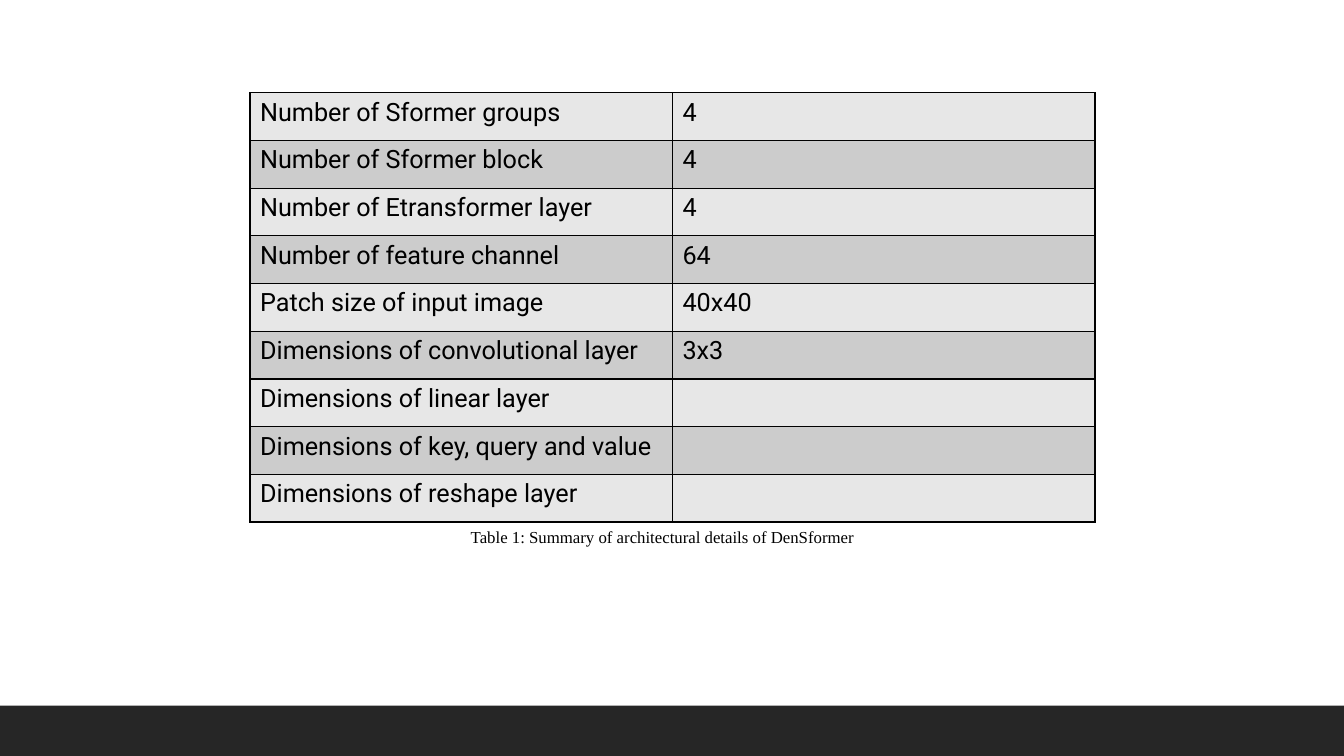
from lxml import etree
from pptx import Presentation
from pptx.dml.color import RGBColor
from pptx.enum.shapes import MSO_SHAPE
from pptx.oxml.ns import qn
from pptx.util import Pt

RECTANGLE = MSO_SHAPE.RECTANGLE
EMU_PER_PX = 9144  # 100 px to the inch
BLANK_LAYOUT = 6
COLOURS = {"ink": "000000", "footer": "262626", "light": "E7E7E7", "dark": "CCCCCC"}
DETAILS = [
    ("Number of Sformer groups", "4"),
    ("Number of Sformer block", "4"),
    ("Number of Etransformer layer", "4"),
    ("Number of feature channel", "64"),
    ("Patch size of input image", "40x40"),
    ("Dimensions of convolutional layer", "3x3"),
    ("Dimensions of linear layer", ""),
    ("Dimensions of key, query and value", ""),
    ("Dimensions of reshape layer", ""),
]


def scaled(box):
    return [length * EMU_PER_PX for length in box]


def colour(name):
    return RGBColor.from_string(COLOURS[name])


def write(para, text, font_name, size):
    para.text = text
    para.font.name = font_name
    para.font.size = Pt(size)
    para.font.bold = False
    para.font.color.rgb = colour("ink")


def add_borders(cell):
    properties = cell._tc.get_or_add_tcPr()
    # Border lines come before the fill in the cell properties
    for position, side in enumerate(("lnL", "lnR", "lnT", "lnB")):
        line = etree.Element(qn(f"a:{side}"), w=str(Pt(1)))
        fill = etree.SubElement(line, qn("a:solidFill"))
        etree.SubElement(fill, qn("a:srgbClr"), val=COLOURS["ink"])
        properties.insert(position, line)


def add_footer(page, box):
    band = page.shapes.add_shape(RECTANGLE, *scaled(box))
    band.shadow.inherit = False
    band.fill.solid()
    band.fill.fore_color.rgb = colour("footer")
    band.line.fill.background()


def add_details_table(page, box):
    frame = page.shapes.add_table(len(DETAILS), 2, *scaled(box))
    table = frame.table
    table.first_row = False
    table.horz_banding = False
    for row_index, texts in enumerate(DETAILS):
        for column_index, text in enumerate(texts):
            cell = table.cell(row_index, column_index)
            cell.fill.solid()
            cell.fill.fore_color.rgb = colour("dark" if row_index % 2 else "light")
            write(cell.text_frame.paragraphs[0], text, "Roboto", 18)
            add_borders(cell)


def add_caption(page, box):
    caption = page.shapes.add_textbox(*scaled(box))
    caption.text_frame.word_wrap = True
    write(caption.text_frame.paragraphs[0],
          "Table 1: Summary of architectural details of DenSformer",
          "Times New Roman", 12)


def main():
    deck = Presentation()
    deck.slide_width, deck.slide_height = scaled((1333, 750))
    page = deck.slides.add_slide(deck.slide_layouts[BLANK_LAYOUT])
    add_footer(page, (0, 700, 1333, 50))
    add_details_table(page, (248, 92, 838, 426))
    add_caption(page, (457, 518, 628, 30))
    deck.save("out.pptx")


if __name__ == "__main__":
    main()
